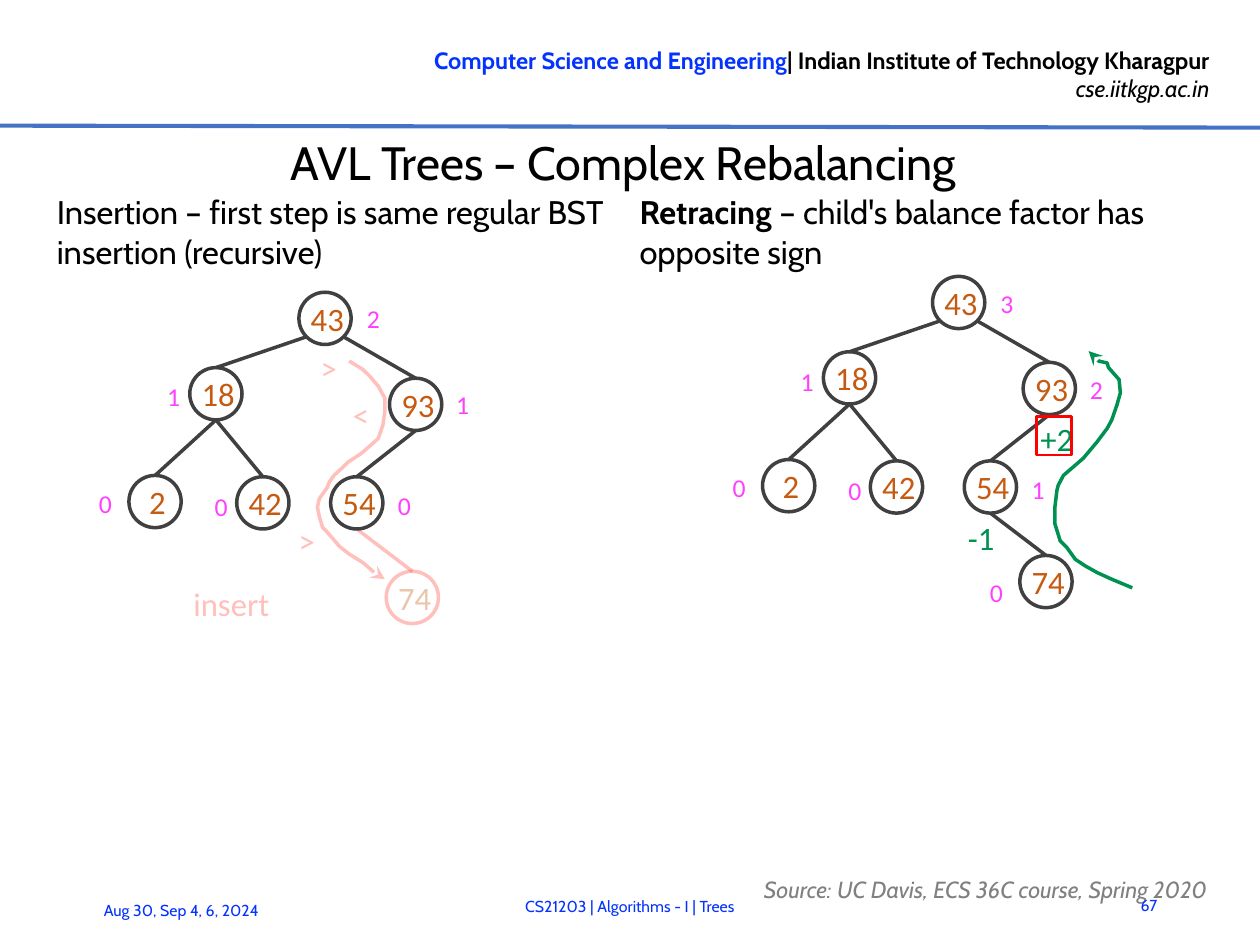
from pptx import Presentation
from pptx import util as u
from pptx.dml.color import RGBColor
from pptx.enum import shapes, text
from pptx.oxml.ns import qn
from lxml import etree

INK, EDGE, BLUE = "000000", "404040", "0432FF"
KEY, HEIGHT, PATH, GREEN = "C55A11", "FF40FF", "FF4C41", "009051"
LEFT, CENTER, RIGHT = text.PP_ALIGN.LEFT, text.PP_ALIGN.CENTER, text.PP_ALIGN.RIGHT
TOP, MIDDLE = text.MSO_ANCHOR.TOP, text.MSO_ANCHOR.MIDDLE
DIAMETER = 0.79
FADED = 35

# key: (node x, node y, height label x, height label y)
NODES = {
    "43": (3.28, 0, 4.05, 0.03),
    "18": (1.63, 1.14, 1.03, 1.21),
    "93": (4.65, 1.3, 5.4, 1.33),
    "2": (0.71, 2.77, 0, 2.82),
    "42": (2.34, 2.79, 1.75, 2.87),
    "54": (3.76, 2.79, 4.52, 2.85),
    "74": (4.6, 4.22, 3.89, 4.41),
}
EDGES = [("43", "18"), ("43", "93"), ("18", "2"), ("18", "42"), ("93", "54"), ("54", "74")]
DESCENT = [
    (4.04, 1.04), (4.25, 1.17), (4.35, 1.27), (4.48, 1.42), (4.55, 1.55), (4.58, 1.6),
    (4.58, 1.8), (4.55, 2.01), (4.48, 2.21), (4.37, 2.31), (4.22, 2.44), (4.02, 2.57),
    (3.92, 2.67), (3.81, 2.77), (3.74, 2.87), (3.71, 2.95), (3.59, 3.12), (3.56, 3.25),
    (3.59, 3.4), (3.64, 3.56), (3.71, 3.63), (3.89, 3.84), (4.04, 3.96), (4.25, 4.09),
    (4.42, 4.24), (4.58, 4.34),
]
RETRACE = [
    (6.3, 4.71), (5.99, 4.58), (5.77, 4.48), (5.59, 4.38), (5.44, 4.28), (5.31, 4.1),
    (5.21, 4), (5.13, 3.74), (5.13, 3.49), (5.16, 3.24), (5.18, 3.16), (5.26, 3.01),
    (5.41, 2.88), (5.56, 2.75), (5.77, 2.5), (5.92, 2.3), (5.99, 2.17), (6.07, 1.94),
    (6.12, 1.76), (6.1, 1.56), (5.94, 1.38), (5.92, 1.31), (5.79, 1.28), (5.64, 1.13),
]


def rgb(value):
    """Turn a hex string into a colour."""
    return RGBColor.from_string(value)


def fade(sp, alpha):
    """Give every colour of a shape the opacity in percent."""
    if alpha < 100:
        for clr in sp._element.iter(qn("a:srgbClr")):
            etree.SubElement(clr, qn("a:alpha"), val=str(alpha * 1000))


def pen(sp, color, width, alpha=100):
    """Set the outline of a shape or connector and drop its shadow."""
    sp.line.color.rgb = rgb(color)
    sp.line.width = u.Pt(width)
    fade(sp, alpha)
    props = sp._element.spPr
    if props.find(qn("a:effectLst")) is None:
        etree.SubElement(props, qn("a:effectLst"))


def line(s, start, end, color, width, alpha=100):
    """Draw a straight line between two points."""
    points = [u.Cm(v) for v in (*start, *end)]
    pen(s.shapes.add_connector(shapes.MSO_CONNECTOR.STRAIGHT, *points), color, width, alpha)


def outline(s, kind, box, color, width, alpha=100):
    """Draw an unfilled preset shape."""
    sp = s.shapes.add_shape(kind, *map(u.Cm, box))
    sp.fill.background()
    pen(sp, color, width, alpha)


def write(s, box, paragraphs, size, align=LEFT, anchor=TOP, inset=(0.25, 0.13),
          spacing=None, font="Cabin", alpha=100):
    """Place a text box; each paragraph is a list of (text, format) runs."""
    sp = s.shapes.add_textbox(*map(u.Cm, box))
    tf = sp.text_frame
    side, edge = map(u.Cm, inset)
    frame = dict(word_wrap=True, vertical_anchor=anchor, margin_left=side,
                 margin_right=side, margin_top=edge, margin_bottom=edge)
    for name, value in frame.items():
        setattr(tf, name, value)
    for i, runs in enumerate(paragraphs):
        p = tf.paragraphs[0] if i == 0 else tf.add_paragraph()
        p.alignment = align
        if spacing:
            p.line_spacing = u.Pt(spacing)
        for words, look in runs:
            r = p.add_run()
            r.text = words
            look = dict(look)
            r.font.color.rgb = rgb(look.pop("color", INK))
            for name, value in dict(name=font, size=u.Pt(size), **look).items():
                setattr(r.font, name, value)
    fade(sp, alpha)


def label(s, x, y, words, color, size=14, width=0.76, height=0.86, alpha=100):
    """Centre a short Calibri label in a small box."""
    write(s, (x, y, width, height), [[(words, {"color": color})]], size, CENTER, MIDDLE,
          (0, 0), font="Calibri", alpha=alpha)


def curve(s, x, y, points, color, alpha=100):
    """Draw an open path that ends in an arrowhead."""
    spots = [(u.Cm(x + dx), u.Cm(y + dy)) for dx, dy in points]
    builder = s.shapes.build_freeform(*spots[0])
    builder.add_line_segments(spots[1:], close=False)
    sp = builder.convert_to_shape()
    sp.fill.background()
    pen(sp, color, 1.5, alpha)
    etree.SubElement(sp.line._get_or_add_ln(), qn("a:tailEnd"), type="stealth")


def tree(s, x, y, heights, new=None):
    """Draw the tree with its height labels, fading the new node."""
    for parent, child in EDGES:
        px, py = NODES[parent][:2]
        cx, cy = NODES[child][:2]
        out_x, out_y = DIAMETER / 2, DIAMETER
        if parent == "43":
            out_x, out_y = DIAMETER * (0.15 if cx < px else 0.85), DIAMETER * 0.85
        color, alpha = (PATH, FADED) if child == new else (EDGE, 100)
        line(s, (x + px + out_x, y + py + out_y), (x + cx + DIAMETER / 2, y + cy),
             color, 1.5, alpha)
    for key, (nx, ny, hx, hy) in NODES.items():
        color, alpha = (PATH, FADED) if key == new else (EDGE, 100)
        outline(s, shapes.MSO_SHAPE.OVAL, (x + nx, y + ny, DIAMETER, DIAMETER),
                color, 1.5, alpha)
        label(s, x + nx - 0.08, y + ny - 0.04, key, KEY, width=1.02, alpha=alpha)
        if key in heights:
            label(s, x + hx, y + hy, heights[key], HEIGHT, 11, 0.71, 0.74)


def header(s, x, y, w):
    """Write the institute lines, the rule and the title."""
    write(s, (x + 4.85, y + 0.56, 13.69, 1.12), [
        [("Computer Science and Engineering", {"color": BLUE, "bold": True}),
         ("| Indian Institute of Technology Kharagpur", {"bold": True})],
        [("cse.iitkgp.ac.in", {"italic": True})]], 10.1, RIGHT)
    line(s, (x, y + 1.9), (x + w, y + 1.93), "4472C4", 1.75)
    write(s, (x + 0.61, y + 2.01, 17.63, 0.86), [[("AVL Trees – Complex Rebalancing", {})]],
          20, CENTER, MIDDLE, (0, 0.01))


def insertion(s, x, y):
    """Show the insertion of the new key."""
    write(s, (x, y, 8.92, 1.37),
          [[("Insertion – first step is same regular BST insertion (recursive)", {})]],
          14, spacing=17)
    x, y = x + 0.63, y + 1.65
    tree(s, x, y, {"43": "2", "18": "1", "93": "1", "2": "0", "42": "0", "54": "0"}, "74")
    for dx, dy, sign in [(3.35, 0.71, ">"), (3.84, 1.42, "<"), (3.02, 3.33, ">")]:
        label(s, x + dx, y + dy, sign, PATH, alpha=FADED)
    label(s, x + 1.42, y + 4.27, "insert", PATH, width=1.68, alpha=FADED)
    curve(s, x, y, DESCENT, PATH, FADED)


def retracing(s, x, y):
    """Show the way back up with the balance factors."""
    write(s, (x, y, 8.92, 1.37),
          [[("Retracing", {"bold": True}),
            (" – child's balance factor has opposite sign", {})]], 14, spacing=17)
    x, y = x + 1.4, y + 1.41
    tree(s, x, y, {"43": "3", "18": "1", "93": "2", "2": "0", "42": "0", "54": "1", "74": "0"})
    label(s, x + 4.65, y + 2.02, "+2", GREEN, width=1.02)
    label(s, x + 3.56, y + 3.52, "-1", GREEN, width=0.91)
    outline(s, shapes.MSO_SHAPE.RECTANGLE, (x + 4.85, y + 2.12, 0.53, 0.58), "FF0000", 1)
    curve(s, x, y, RETRACE, GREEN)


def footer(s, x, y):
    """Write the source, date, course and page number."""
    write(s, (x + 11.3, y, 7.67, 0.43),
          [[("Source: UC Davis, ECS 36C course, Spring 2020",
             {"color": "808080", "italic": True})]], 10, anchor=MIDDLE, spacing=18)
    for dx, dy, w, words, align in [
            (1.32, 0.26, 3.33, "Aug 30, Sep 4, 6, 2024", LEFT),
            (3.15, 0.2, 12.75, "CS21203 | Algorithms - I | Trees", CENTER),
            (16.81, 0.18, 0.94, "67", RIGHT)]:
        write(s, (x + dx, y + dy, w, 0.76), [[(words, {"color": BLUE})]], 6.8, align, MIDDLE)


def main():
    """Build the slide and save it."""
    prs = Presentation()
    prs.slide_width, prs.slide_height = u.Cm(19.05), u.Cm(14.29)
    s = prs.slides.add_slide(prs.slide_layouts[6])
    header(s, 0, 0, 19.05)
    insertion(s, 0.61, 2.77)
    retracing(s, 9.42, 2.77)
    footer(s, 0, 13.13)
    prs.save("out.pptx")


if __name__ == "__main__":
    main()
